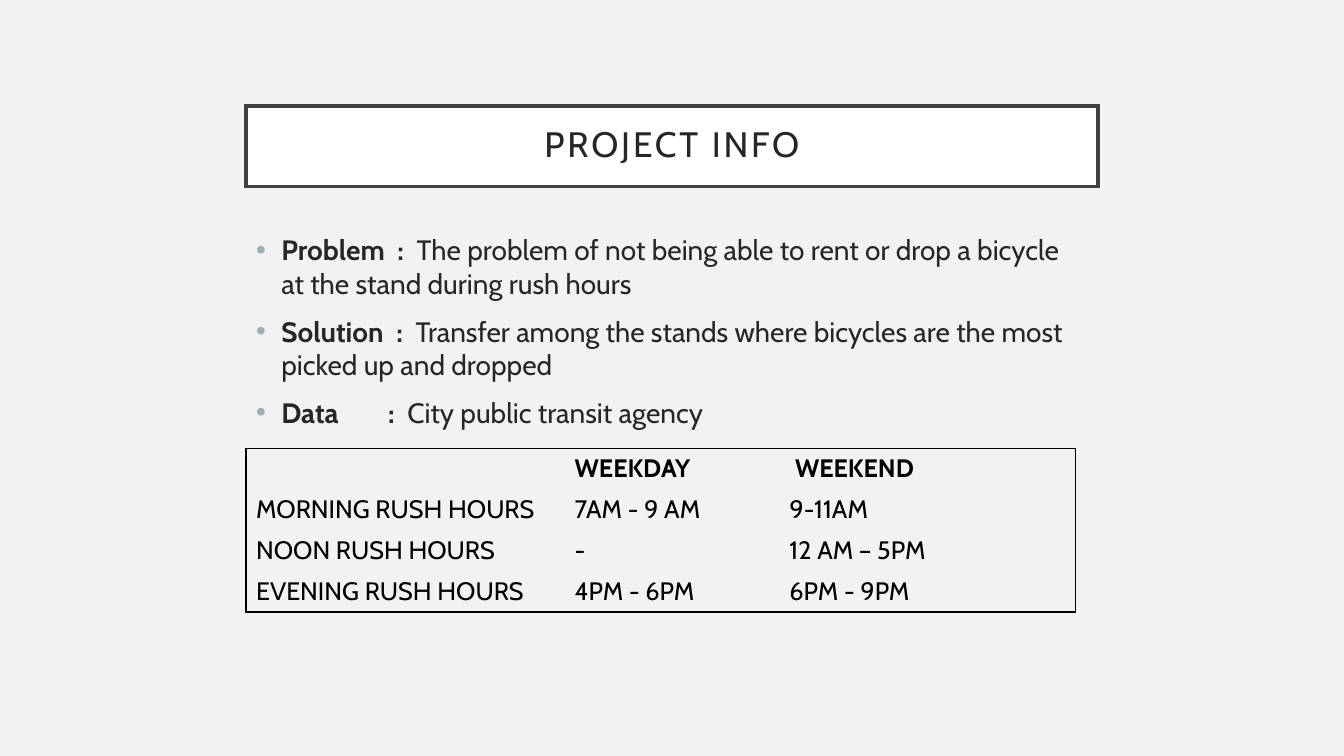
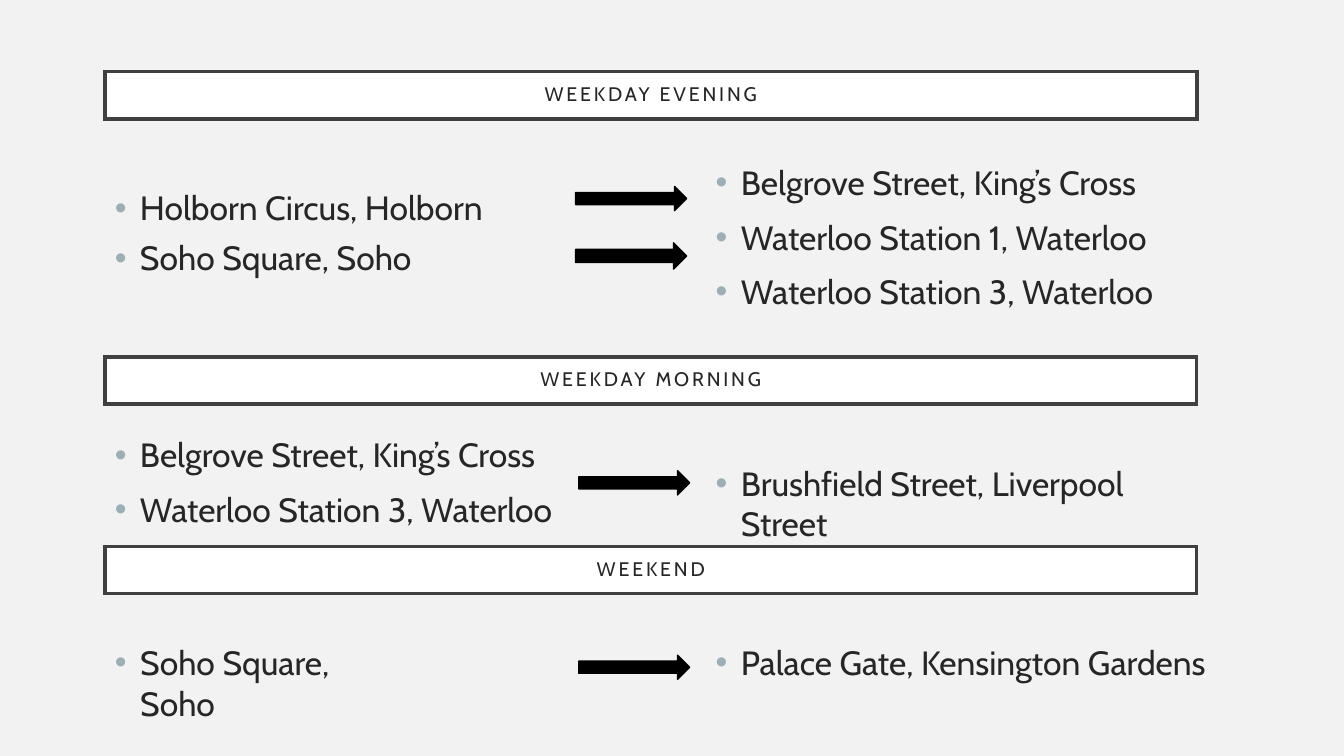
from dataclasses import dataclass

from lxml import etree
from pptx import Presentation
from pptx.dml.color import RGBColor
from pptx.enum.shapes import MSO_SHAPE
from pptx.enum.text import MSO_ANCHOR, MSO_AUTO_SIZE, PP_ALIGN
from pptx.oxml.ns import qn
from pptx.util import Inches, Pt

RECT, ARROW = MSO_SHAPE.RECTANGLE, MSO_SHAPE.RIGHT_ARROW
MIDDLE, TOP = MSO_ANCHOR.MIDDLE, MSO_ANCHOR.TOP
CENTER, LEFT = PP_ALIGN.CENTER, PP_ALIGN.LEFT
NO_FIT = MSO_AUTO_SIZE.NONE
TITLE_AND_CONTENT = 1
PLAIN_TABLE = "{2D5ABB26-0587-4C30-8999-92F81FD0307C}"


@dataclass(frozen=True)
class Theme:
    font: str = "Cabin"
    page: str = "F2F2F2"
    band: str = "FFFFFF"
    frame: str = "404040"
    text: str = "262626"
    bullet: str = "9BAFB5"
    black: str = "000000"
    title_size: float = 25.2
    band_size: float = 14
    body_size: float = 20
    list_size: float = 24
    table_size: float = 18
    frame_width: float = 2.5
    thin_width: float = 1


THEME = Theme()


@dataclass(frozen=True)
class Section:
    """One band with its lists and arrows; offsets are from the band's corner."""
    heading: str
    top: float
    sources: tuple
    source_box: tuple
    targets: tuple
    target_box: tuple
    arrows: tuple


BAND_LEFT, BAND_WIDTH, BAND_HEIGHT = 1.04, 10.83, 0.47
TARGET_LEFT = 5.96
SECTIONS = (
    Section("WEEKDAY EVENING", 0.71,
            ("Holborn Circus, Holborn", "Soho Square, Soho"), (0, 1.14, 3.96, 1.01),
            ("Belgrove Street, King’s Cross", "Waterloo Station 1, Waterloo",
             "Waterloo Station 3, Waterloo"), (TARGET_LEFT, 0.85, 4.59, 1.7),
            ((4.67, 1.14, 1.1, 0.24), (4.67, 1.7, 1.1, 0.26))),
    Section("WEEKDAY MORNING", 3.54,
            ("Belgrove Street, King’s Cross", "Waterloo Station 3, Waterloo"),
            (0, 0.72, 4.6, 1.14),
            ("Brushfield Street, Liverpool Street",), (TARGET_LEFT, 1, 5.12, 0.51),
            ((4.7, 1.13, 1.1, 0.24),)),
    Section("WEEKEND", 5.42,
            ("Soho Square, Soho",), (0, 0.9, 3.02, 0.61),
            ("Palace Gate, Kensington Gardens",), (TARGET_LEFT, 0.9, 5.12, 0.61),
            ((4.7, 1.08, 1.1, 0.24),)),
)
PROJECT_FACTS = (
    (("Problem  :  ", True),
     ("The problem of not being able to rent or drop a bicycle at the stand "
      "during rush hours", False)),
    (("Solution  :  ", True),
     ("Transfer among the stands where bicycles are the most picked up and dropped",
      False)),
    (("Data\t:  ", True), ("City public transit agency", False)),
)
COLON_TAB = 1.31
RUSH_HOURS = (
    ("", "WEEKDAY", " WEEKEND"),
    ("MORNING RUSH HOURS", "7AM - 9 AM", "9-11AM"),
    ("NOON RUSH HOURS", "-", "12 AM – 5PM"),
    ("EVENING RUSH HOURS", "4PM - 6PM", "6PM - 9PM"),
)
RUSH_COLUMNS = (3.16, 2.13, 2.94)


def rgb(color):
    return RGBColor.from_string(color)


def place(sp, box):
    sp.left, sp.top, sp.width, sp.height = (Inches(v) for v in box)


def shifted(box, left, top):
    return (left + box[0], top + box[1], *box[2:])


def paint(sp, fill, line, width):
    sp.fill.solid()
    sp.fill.fore_color.rgb = rgb(fill)
    sp.line.color.rgb = rgb(line)
    sp.line.width = Pt(width)


def add_run(p, text, size, color=THEME.text, bold=False):
    r = p.add_run()
    r.text = text
    r.font.name = THEME.font
    r.font.size = Pt(size)
    r.font.bold = bold
    r.font.color.rgb = rgb(color)
    return r


def add_shape(s, kind, box):
    sp = s.shapes.add_shape(kind, *(Inches(v) for v in box))
    sp.shadow.inherit = False
    return sp


def fill_band(sp, box, text, size):
    """Turn a title placeholder or a rectangle into a framed heading band."""
    place(sp, box)
    paint(sp, THEME.band, THEME.frame, THEME.frame_width)
    ln = sp._element.spPr.find(qn("a:ln"))
    etree.SubElement(ln, qn("a:miter"), lim="800000")
    tf = sp.text_frame
    tf.word_wrap = True
    tf.auto_size = NO_FIT
    tf.vertical_anchor = MIDDLE
    tf.margin_left = tf.margin_right = tf.margin_top = tf.margin_bottom = Inches(0.2)
    p = tf.paragraphs[0]
    p.alignment = CENTER
    p.line_spacing = 0.9
    r = add_run(p, text, size)
    r.font._element.set("spc", "200")


def set_bullet(p, tab=None):
    pPr = p._p.get_or_add_pPr()
    pPr.set("marL", str(Inches(0.25)))
    pPr.set("indent", str(-Inches(0.25)))
    color = etree.SubElement(pPr, qn("a:buClr"))
    etree.SubElement(color, qn("a:srgbClr"), val=THEME.bullet)
    etree.SubElement(pPr, qn("a:buFont"), typeface="Arial")
    etree.SubElement(pPr, qn("a:buChar"), char="•")
    if tab:
        tabs = etree.SubElement(pPr, qn("a:tabLst"))
        etree.SubElement(tabs, qn("a:tab"), pos=str(Inches(tab)), algn="l")


def fill_list(sp, box, items, size, spacing=1.0, tab=None):
    """Write bullets; each item is a sequence of (text, bold) runs."""
    place(sp, box)
    tf = sp.text_frame
    tf.word_wrap = True
    tf.auto_size = NO_FIT
    tf.vertical_anchor = TOP
    for i, item in enumerate(items):
        p = tf.add_paragraph() if i else tf.paragraphs[0]
        p.alignment = LEFT
        p.line_spacing = spacing
        p.space_before = Pt(10)
        set_bullet(p, tab)
        for text, bold in item:
            add_run(p, text, size, bold=bold)


def set_border(cell, side):
    tcPr = cell._tc.get_or_add_tcPr()
    ln = etree.SubElement(tcPr, qn(f"a:ln{side}"), w=str(Pt(THEME.thin_width)))
    fill = etree.SubElement(ln, qn("a:solidFill"))
    etree.SubElement(fill, qn("a:srgbClr"), val=THEME.black)


def add_rush_table(s, box):
    rows, cols = len(RUSH_HOURS), len(RUSH_COLUMNS)
    table = s.shapes.add_table(rows, cols, *(Inches(v) for v in box)).table
    table.horz_banding = table.first_row = False
    table._tbl.tblPr.find(qn("a:tableStyleId")).text = PLAIN_TABLE
    for column, width in zip(table.columns, RUSH_COLUMNS):
        column.width = Inches(width)
    for y, texts in enumerate(RUSH_HOURS):
        for x, text in enumerate(texts):
            cell = table.cell(y, x)
            edges = {"L": x == 0, "R": x == cols - 1, "T": y == 0, "B": y == rows - 1}
            for side, outer in edges.items():
                if outer:
                    set_border(cell, side)
            cell.fill.background()
            if text:
                add_run(cell.text_frame.paragraphs[0], text, THEME.table_size,
                        THEME.black, bold=y == 0)


def add_section(s, section, band, source_list):
    """Place a section; band and source_list are the shapes that hold its text."""
    left, top = BAND_LEFT, section.top
    fill_band(band, (left, top, BAND_WIDTH, BAND_HEIGHT), section.heading,
              THEME.band_size)
    target_list = s.shapes.add_textbox(0, 0, 0, 0)
    spacing = 0.9 if section is SECTIONS[0] else 1.0
    for sp, box, names, gap in (
            (source_list, section.source_box, section.sources, spacing),
            (target_list, section.target_box, section.targets, 1.0)):
        items = [((name, False),) for name in names]
        fill_list(sp, shifted(box, left, top), items, THEME.list_size, gap)
    for box in section.arrows:
        arrow = add_shape(s, ARROW, shifted(box, left, top))
        paint(arrow, THEME.black, THEME.black, THEME.thin_width)


def new_slide(prs):
    return prs.slides.add_slide(prs.slide_layouts[TITLE_AND_CONTENT])


def project_slide(prs):
    s = new_slide(prs)
    left, width = 2.44, 8.45
    fill_band(s.shapes.title, (left, 1.05, width, 0.8), "PROJECT INFO",
              THEME.title_size)
    fill_list(s.placeholders[1], (left, 2.26, width, 3.39), PROJECT_FACTS,
              THEME.body_size, tab=COLON_TAB)
    add_rush_table(s, (left, 4.45, sum(RUSH_COLUMNS), 1.62))


def transfers_slide(prs):
    s = new_slide(prs)
    for section in SECTIONS:
        first, last = section is SECTIONS[0], section is SECTIONS[-1]
        band = s.shapes.title if first else add_shape(s, RECT, (0, 0, 1, 1))
        sources = s.placeholders[1] if last else s.shapes.add_textbox(0, 0, 0, 0)
        add_section(s, section, band, sources)


def main():
    prs = Presentation()
    prs.slide_width, prs.slide_height = Inches(13.33), Inches(7.5)
    background = prs.slide_master.background.fill
    background.solid()
    background.fore_color.rgb = rgb(THEME.page)
    project_slide(prs)
    transfers_slide(prs)
    prs.save("out.pptx")


if __name__ == "__main__":
    main()
